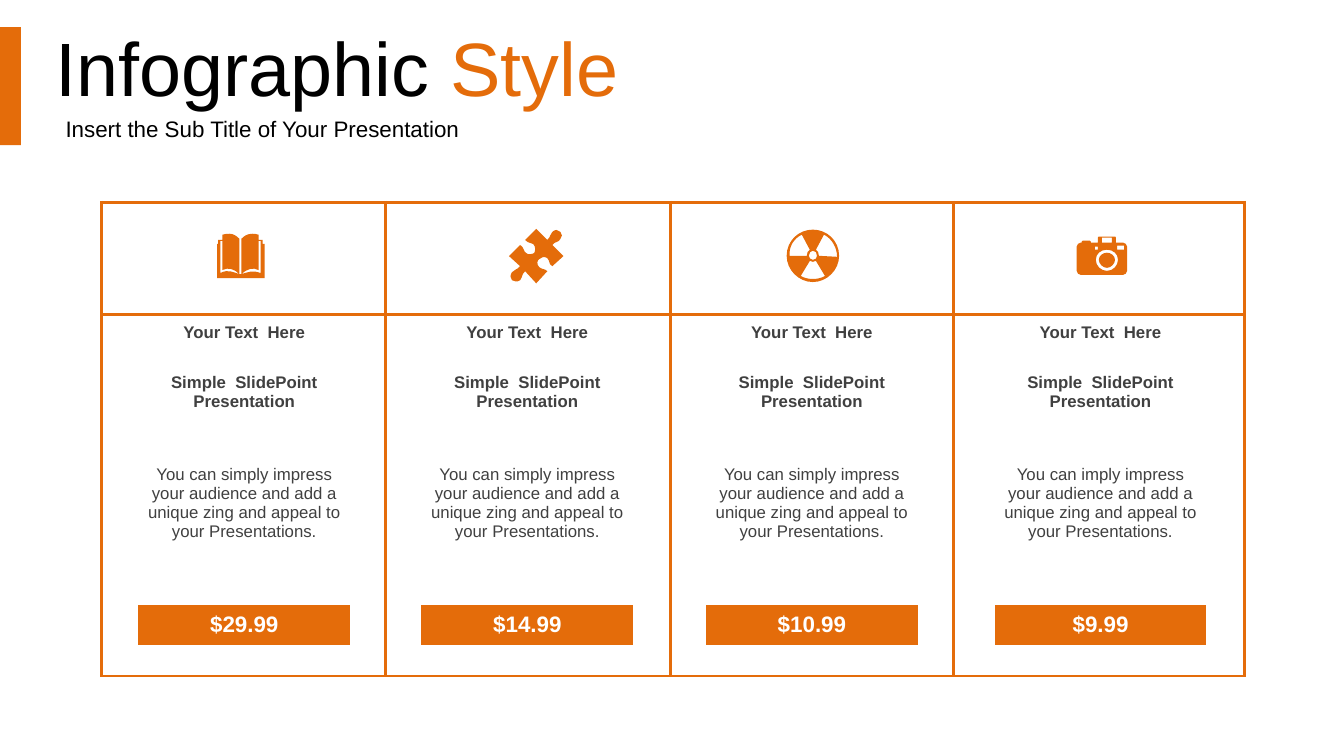
from lxml.etree import Element, SubElement
from pptx import Presentation
from pptx.dml.color import RGBColor
from pptx.enum.shapes import MSO_SHAPE
from pptx.enum.text import MSO_ANCHOR, PP_ALIGN
from pptx.oxml.ns import qn
from pptx.util import Pt

ORANGE, DARK, BLACK, WHITE = "E46C0A", "404040", "000000", "FFFFFF"
FONT = "Arial"
BORDER = 2.25
NO_STYLE = "{2D5ABB26-0587-4C30-8999-92F81FD0307C}"
ICON_UNIT = 0.72  # points per unit of the icon outlines

# Icon outlines: M starts a contour, L draws lines, C draws Bezier curves
BOOK = """M 22 40 L 24 40 C 31 38 35 36 43 39 L 43 7 41 7 41 36 C 36 33 29 35 24 40
 L 24 7 24 5 C 27 2 30 0 35 0 C 36 0 39 0 41 1 L 41 6 45 6 45 10 47 10 47 44 0 44 0 10
 1 10 1 6 5 6 5 1 C 8 0 10 0 12 0 C 16 0 19 2 22 5 L 22 40 C 17 35 11 33 5 36
 L 5 7 3 7 3 39 C 11 35 15 38 22 40"""
PUZZLE = """M 51 3 C 53 5 53 8 51 10 C 49 14 46 12 43 16 L 54 27 43 37 C 39 35 41 32 38 29
 C 35 27 32 28 30 30 C 28 31 27 35 30 38 C 34 41 35 39 38 42 L 27 54 16 42
 C 12 46 14 47 11 51 C 8 53 5 52 3 51 C 1 49 1 46 3 43 C 5 40 8 41 11 37 L 0 27 11 16
 C 15 18 14 22 17 24 C 19 26 23 25 25 24 C 26 22 27 18 24 15 C 21 13 20 15 16 11
 L 27 0 38 11 C 42 7 40 6 43 3 C 46 0 49 1 51 3"""
RADIATION = """M 23 31 L 14 46 C 21 50 31 50 38 46 L 29 31 C 28 32 27 32 26 32 C 25 32 24 32 23 31
 M 26 21 C 24 21 22 23 22 26 C 22 28 24 30 26 30 C 29 30 30 28 30 26 C 30 23 29 21 26 21
 M 37 5 L 29 20 C 31 21 32 23 32 26 L 50 27 C 50 18 45 9 37 5
 M 15 5 C 7 9 2 17 3 26 L 20 26 C 20 23 21 21 23 20
 M 26 0 C 40 0 52 11 52 26 C 52 40 40 52 26 52 C 12 52 0 40 0 26 C 0 11 12 0 26 0"""
CAMERA = """M 30 16 C 34 16 38 19 38 23 C 38 27 34 31 30 31 C 26 31 22 27 22 23 C 22 19 26 16 30 16
 M 30 13 C 24 13 19 17 19 23 C 19 29 24 34 30 34 C 36 34 41 29 41 23 C 41 17 36 13 30 13
 M 18 10 L 18 13 21 13 21 10 M 40 9 L 40 13 47 13 47 9 M 25 1 L 25 6 35 6 35 1
 M 23 0 L 37 0 C 38 0 39 0 39 1 L 39 6 46 6 C 48 6 50 8 50 10 L 50 34 C 50 36 48 38 46 38
 L 4 38 C 2 38 0 36 0 34 L 0 10 C 0 8 2 6 4 6 L 5 6 5 5 C 5 4 5 4 6 4 L 13 4
 C 13 4 14 4 14 5 L 14 6 21 6 21 1 C 21 0 22 0 23 0"""

HEADING = "Your Text  Here"
SUBHEADING = "Simple  SlidePoint Presentation"
PITCH = "You can {} impress your audience and add a unique zing and appeal to your Presentations."
# Per plan: icon, icon offset in its header cell, adverb, price, side column widths
PLANS = [
    (BOOK, (82.5, 22.6), "simply", "$29.99", (25.2, 24.5)),
    (PUZZLE, (88, 19.1), "simply", "$14.99", (24.5, 25.6)),
    (RADIATION, (83, 19.6), "simply", "$10.99", (24.5, 24.5)),
    (CAMERA, (88, 24.6), "imply", "$9.99", (28.5, 26.4)),
]
TEXT_WIDTH = 153.2
ROW_HEIGHTS = [80, 26.5, 58, 101, 21.5, 30, 21.5]
PRICE_ROW = 5


def color(hex_text):
    return RGBColor.from_string(hex_text)


def write(paragraph, text, size=12, ink=DARK, bold=False, align=None, spacing=None):
    run = paragraph.add_run()
    run.text = text
    run.font.name, run.font.size, run.font.bold = FONT, Pt(size), bold
    run.font.color.rgb = color(ink)
    if align is not None:
        paragraph.alignment = align
    if spacing:
        paragraph.line_spacing = spacing


def paint(shape, hex_text):
    shape.shadow.inherit = False
    shape.fill.solid()
    shape.fill.fore_color.rgb = color(hex_text)
    shape.line.fill.background()


def add_heading(slide, left, top, width, height, inset, runs, size):
    box = slide.shapes.add_textbox(Pt(left), Pt(top), Pt(width), Pt(height))
    frame = box.text_frame
    frame.word_wrap = True
    frame.vertical_anchor = MSO_ANCHOR.MIDDLE
    frame.margin_left, frame.margin_right = Pt(inset), Pt(7.2)
    frame.margin_top, frame.margin_bottom = Pt(7.2), Pt(3.6)
    for text, ink in runs:
        write(frame.paragraphs[0], text, size=size, ink=ink, spacing=0.9)


def add_header(slide, left, top, width, height):
    accent = slide.shapes.add_shape(MSO_SHAPE.RECTANGLE, Pt(left), Pt(top), Pt(15), Pt(height))
    paint(accent, ORANGE)
    text_left = left + 32.4
    add_heading(slide, text_left, top + 1.5, width, 57, 7.2,
                [("Infographic ", BLACK), ("Style", ORANGE)], 54)
    add_heading(slide, text_left, top + 58.5, width, 27, 14.4,
                [("Insert the Sub Title of Your Presentation", BLACK)], 16)


def set_borders(cell, sides):
    properties = cell._tc.get_or_add_tcPr()
    for side in "LRTB":
        line = SubElement(properties, qn(f"a:ln{side}"), w=str(Pt(BORDER)))
        if side in sides:
            SubElement(SubElement(line, qn("a:solidFill")), qn("a:srgbClr"), val=sides[side])
        else:
            SubElement(line, qn("a:noFill"))


def cell_borders(row, part):
    """Borders of a cell; part is 0 left gutter, 1 text column, 2 right gutter."""
    if part == 1 and row == PRICE_ROW:
        return dict.fromkeys("LRTB", WHITE)
    sides = {}
    if part != 1:
        sides["L" if part == 0 else "R"] = ORANGE
        if row == PRICE_ROW:
            sides["R" if part == 0 else "L"] = WHITE
    elif abs(row - PRICE_ROW) == 1:
        sides["B" if row < PRICE_ROW else "T"] = WHITE
    if row in (0, 1):
        sides["T"] = ORANGE
    if row in (0, len(ROW_HEIGHTS) - 1):
        sides["B"] = ORANGE
    return sides


def fill_cell(cell, row, part, texts):
    cell.margin_left = cell.margin_right = Pt(6)
    cell.margin_top = cell.margin_bottom = 0
    cell.vertical_anchor = MSO_ANCHOR.MIDDLE
    set_borders(cell, cell_borders(row, part))
    cell.fill.background()
    paragraph = cell.text_frame.paragraphs[0]
    if part == 1 and row in texts:
        text, style = texts[row]
        write(paragraph, text, align=PP_ALIGN.CENTER, **style)
        if row == PRICE_ROW:
            cell.fill.solid()
            cell.fill.fore_color.rgb = color(ORANGE)
    else:
        SubElement(paragraph._p, qn("a:endParaRPr"), sz="800")


def add_icon(slide, left, top, outline):
    builder, kinds = None, []
    for contour in outline.split("M")[1:]:
        kind, numbers = "M", []
        for token in contour.split():
            if token in ("L", "C"):
                kind = token
                continue
            numbers.append(float(token))
            if len(numbers) % 2 == 0:
                kinds.append(kind)
        kinds.append("Z")
        points = [(Pt(left + x * ICON_UNIT), Pt(top + y * ICON_UNIT))
                  for x, y in zip(numbers[::2], numbers[1::2])]
        if builder is None:
            builder = slide.shapes.build_freeform(*points[0], scale=1.0)
        else:
            builder.move_to(*points[0])
        builder.add_line_segments(points[1:], close=True)
    icon = builder.convert_to_shape()
    paint(icon, ORANGE)
    # Turn each run of three curve points into one Bezier segment
    outline_xml = next(icon._element.iter(qn("a:path")))
    curve_points = [step for step, kind in zip(list(outline_xml), kinds) if kind == "C"]
    for start in range(0, len(curve_points), 3):
        curve = Element(qn("a:cubicBezTo"))
        curve_points[start].addprevious(curve)
        for step in curve_points[start:start + 3]:
            curve.append(step[0])
            outline_xml.remove(step)


def add_price_table(slide, left, top):
    widths = [w for *_, (before, after) in PLANS for w in (before, TEXT_WIDTH, after)]
    table = slide.shapes.add_table(len(ROW_HEIGHTS), len(widths), Pt(left), Pt(top),
                                   Pt(sum(widths)), Pt(sum(ROW_HEIGHTS))).table
    table.first_row = table.horz_banding = False
    next(table._tbl.iter(qn("a:tableStyleId"))).text = NO_STYLE
    for column, width in zip(table.columns, widths):
        column.width = Pt(width)
    for table_row, height in zip(table.rows, ROW_HEIGHTS):
        table_row.height = Pt(height)
    for index, (icon, (dx, dy), adverb, price, _) in enumerate(PLANS):
        texts = {
            1: (HEADING, {"bold": True}),
            2: (SUBHEADING, {"bold": True}),
            3: (PITCH.format(adverb), {}),
            PRICE_ROW: (price, {"size": 16, "ink": WHITE, "bold": True}),
        }
        for row in range(len(ROW_HEIGHTS)):
            for part in range(3):
                fill_cell(table.cell(row, index * 3 + part), row, part, texts)
        add_icon(slide, left + sum(widths[:index * 3]) + dx, top + dy, icon)


deck = Presentation()
deck.slide_width, deck.slide_height = Pt(960), Pt(540)
pricing_slide = deck.slides.add_slide(deck.slide_layouts[6])
add_header(pricing_slide, 0, 19.4, 903.6, 84.4)
add_price_table(pricing_slide, 72.7, 144.4)
deck.save("out.pptx")
